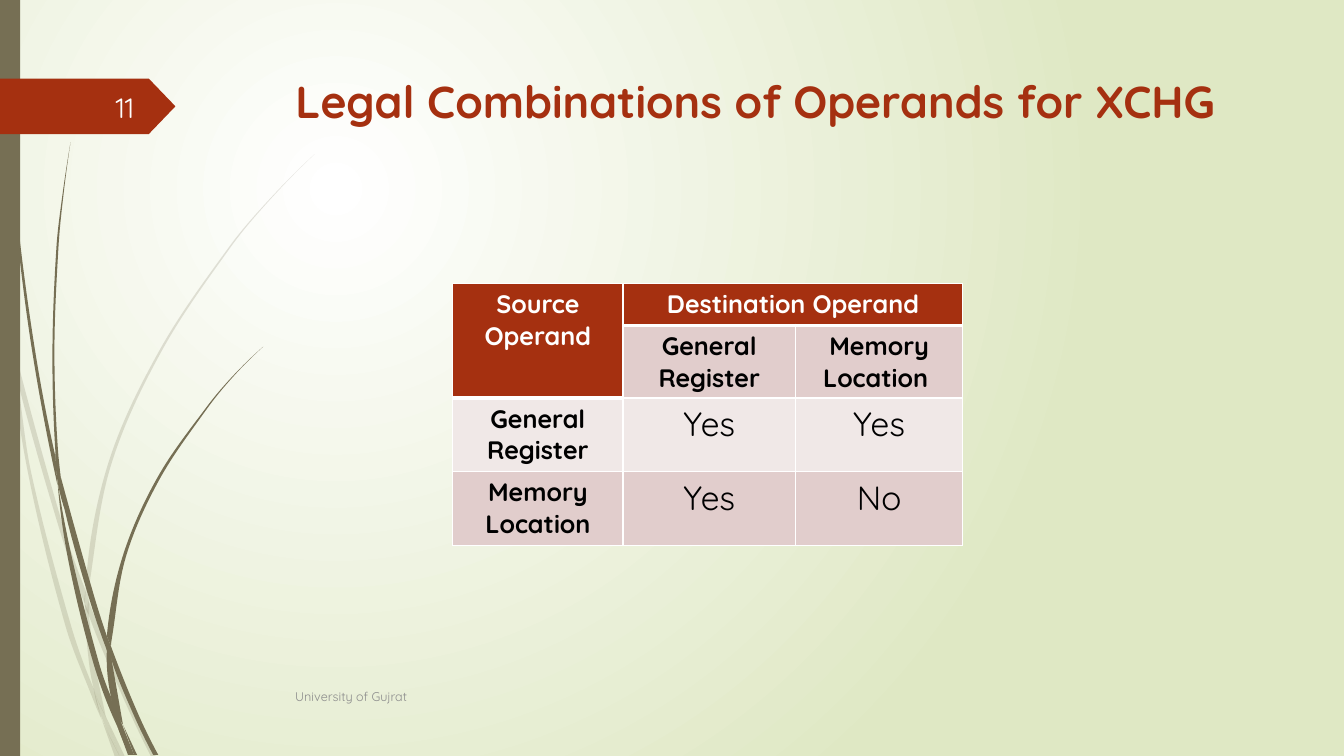
from lxml.etree import SubElement
from pptx import Presentation
from pptx.dml.color import RGBColor
from pptx.enum.shapes import MSO_SHAPE
from pptx.enum.text import MSO_ANCHOR, MSO_AUTO_SIZE, PP_ALIGN
from pptx.oxml.ns import qn
from pptx.util import Inches, Pt

COLORS = {
    "rust": "A53010", "olive": "766F54", "white": "FFFFFF", "meadow": "DFE8C4",
    "rose": "E1CDCC", "blush": "F0E8E7", "black": "000000", "grey": "8C8C8C",
    "number": "FEFFFF",
}
FORMATS = {
    "title": {"size": Pt(32), "bold": True, "color": "rust"},
    "header": {"size": Pt(18), "bold": True, "color": "white"},
    "label": {"size": Pt(18), "bold": True, "color": "black"},
    "answer": {"size": Pt(24), "bold": False, "color": "black"},
    "footer": {"size": Pt(9), "bold": False, "color": "grey"},
    "number": {"size": Pt(20), "bold": False, "color": "number"},
}
# Each blade section has two edges, one down and one back, as x+yj stations.
PALE_SECTIONS = [
    ([.11+3.5j, .09+3.22j, 2.82j], [2.99j, .1+3.44j, .11+3.5j]),
    ([.14+3.45j, .17+3.76j, .58+5.22j, .84+5.99j], [.85+5.86j, .62+5.2j, .14+3.45j]),
    ([.88+5.96j, .88+6.1j, 1.23+6.94j, 1.5+7.51j],
     [1.55+7.51j, 1.27+6.92j, .92+6.07j, .88+5.96j]),
    ([1.05+7.11j, 1.19+7.51j], [1.24+7.51j, 1.05+7.11j]),
    ([.11+3.5j, .28+4.7j, .65+6.21j, .92+6.93j, 1.01+7.14j],
     [.93+6.83j, .7+6.19j, .31+4.69j, .17+3.76j, .11+3.5j]),
    ([.84+5.99j, .87+6.46j, .93+6.83j, 1.05+7.11j], [.91+6.46j, .88+6.1j, .84+5.99j]),
    ([3.12+1.53j, 2.68+1.97j, 2.28+2.44j, 1.58+3.48j, 1.07+4.61j, .85+5.84j],
     [.88+5.96j, .88+5.84j, 1.1+4.62j, 1.6+3.49j, 2.29+2.45j, 2.68+1.98j, 3.12+1.53j]),
    ([1.01+7.14j, 1.14+7.51j], [1.19+7.51j, 1.01+7.14j]),
    ([.85+5.86j, .84+5.99j, .88+6.1j], [.88+5.96j, .85+5.86j]),
    ([.93+6.83j, .99+7.07j, 1.19+7.51j], [1.05+7.11j, .96+6.92j, .93+6.83j]),
]
DARK_SECTIONS = [
    ([.03+0j, .07+1.1j, .17+2.33j, .33+3.55j, .57+4.81j],
     [.55+4.53j, .36+3.55j, .19+2.32j, .08+1.09j, .04+0j]),
    ([.6+4.72j, .64+5.05j, .88+5.92j, 1.06+6.45j], [1.06+6.31j, .93+5.9j, .6+4.72j]),
    ([1.1+6.41j, 1.11+6.56j, 1.32+7.08j, 1.52+7.49j],
     [1.57+7.49j, 1.36+7.06j, 1.1+6.41j]),
    ([.57+4.77j, .68+5.57j, .93+6.59j, 1.17+7.22j],
     [1.1+6.91j, .98+6.57j, .72+5.56j, .57+4.77j]),
    ([.7+1.41j, .62+1.93j, .56+2.45j, .52+3.49j, .55+4.49j, .6+4.72j],
     [.58+4.53j, .54+3.49j, .58+2.45j, .63+1.93j, .7+1.41j]),
    ([1.22+7.19j, 1.33+7.49j], [1.36+7.49j, 1.22+7.19j]),
    ([.55+4.49j, .57+4.77j, .64+5.05j], [.6+4.72j, .55+4.49j]),
    ([2.61+3.44j, 2.31+3.73j, 2.04+4.05j, 1.56+4.74j, 1.22+5.51j, 1.06+6.31j],
     [1.1+6.41j, 1.11+6.33j, 1.25+5.52j, 1.58+4.76j, 2.05+4.06j, 2.31+3.74j, 2.61+3.44j]),
    ([1.17+7.22j, 1.27+7.49j], [1.31+7.49j, 1.17+7.22j]),
    ([1.06+6.45j, 1.1+6.91j, 1.22+7.19j], [1.11+6.56j, 1.06+6.45j]),
    ([1.06+6.31j, 1.06+6.45j, 1.11+6.56j], [1.1+6.41j, 1.06+6.31j]),
    ([1.1+6.91j, 1.17+7.22j, 1.3+7.49j], [1.33+7.49j, 1.16+7.06j, 1.1+6.91j]),
]
OPERANDS = [
    [("Source\nOperand", "header", "rust"), ("Destination Operand", "header", "rust"),
     ("", "header", "rust")],
    [("", "label", "rust"), ("General Register", "label", "rose"),
     ("Memory Location ", "label", "rose")],
    [("General Register", "label", "blush"), ("Yes", "answer", "blush"),
     ("Yes", "answer", "blush")],
    [("Memory Location", "label", "rose"), ("Yes", "answer", "rose"),
     ("No", "answer", "rose")],
]


def rgb(name):
    """Return the named colour."""
    return RGBColor.from_string(COLORS[name])


def write(frame, wording, style, align=PP_ALIGN.LEFT):
    """Fill a text frame with wording in one of the formats."""
    frame.text = wording
    for paragraph in frame.paragraphs:
        paragraph.alignment = align
        for run in paragraph.runs:
            run.font.name = "Quicksand"
            for key, value in FORMATS[style].items():
                if key == "color":
                    run.font.color.rgb = rgb(value)
                else:
                    setattr(run.font, key, value)


def paint(shape, color, opacity=100):
    """Give a shape a flat fill with no line or shadow."""
    shape.shadow.inherit = False
    shape.line.fill.background()
    shape.fill.solid()
    shape.fill.fore_color.rgb = rgb(color)
    if opacity < 100:
        tint = shape.fill._xPr.find(".//" + qn("a:srgbClr"))
        SubElement(tint, qn("a:alpha"), val=str(opacity * 1000))


def bend(edge):
    """Return two controls and an end for each smooth segment of an edge."""
    chords = [(b - a) / abs(b - a) for a, b in zip(edge, edge[1:])]
    slopes = [(c - a) / abs(c - a) for a, c in zip(edge, edge[2:])]
    if slopes:
        first = chords[0] ** 2 * slopes[0].conjugate()
        last = chords[-1] ** 2 * slopes[-1].conjugate()
        slopes = [first, *slopes, last]
    else:
        slopes = chords * 2
    curve = []
    for a, b, start, end in zip(edge, edge[1:], slopes, slopes[1:]):
        reach = abs(b - a) / 3
        curve += [a + start * reach, b - end * reach, b]
    return curve


def add_section(slide, left, top, edges, opacity):
    """Draw one blade section with curved edges."""
    down, back = edges
    stations = bend(down) + bend([down[-1], back[0]]) + bend(back)
    points = [(Inches(left + z.real), Inches(top + z.imag)) for z in [down[0], *stations]]
    builder = slide.shapes.build_freeform(*points[0])
    builder.add_line_segments(points[1:], close=True)
    section = builder.convert_to_shape()
    lines = list(section._element.iter(qn("a:lnTo")))
    for trio in zip(lines[::3], lines[1::3], lines[2::3]):
        outline = trio[0].getparent()
        curve = SubElement(outline, qn("a:cubicBezTo"))
        trio[0].addprevious(curve)
        for line in trio:
            curve.append(line[0])
            outline.remove(line)
    paint(section, "olive", opacity)


def add_background(slide):
    """Spread a circular gradient from the upper left."""
    fill = slide.background.fill
    fill.gradient()
    for stop, color in zip(fill.gradient_stops, ("white", "meadow")):
        stop.color.rgb = rgb(color)
    gradient = slide._element.find(".//" + qn("a:gradFill"))
    gradient.remove(gradient.find(qn("a:lin")))
    circle = SubElement(gradient, qn("a:path"), path="circle")
    SubElement(circle, qn("a:fillToRect"), l="50000", t="50000", r="100000", b="100000")


def add_grass(slide, left, top, height):
    """Draw the grass blades and the bar at the left edge."""
    for sections, opacity in ((PALE_SECTIONS, 20), (DARK_SECTIONS, 100)):
        for edges in sections:
            add_section(slide, left, top, edges, opacity)
    bar = slide.shapes.add_shape(
        MSO_SHAPE.RECTANGLE, *map(Inches, (left, top, 0.2, height)))
    paint(bar, "olive")


def add_caption(slide, left, top, width, height, wording, style, align):
    """Place a vertically centred line of text."""
    caption = slide.shapes.add_textbox(*map(Inches, (left, top, width, height)))
    caption.text_frame.word_wrap = True
    caption.text_frame.vertical_anchor = MSO_ANCHOR.MIDDLE
    write(caption.text_frame, wording, style, align)


def add_number_flag(slide, left, top, width, height):
    """Draw the pointed flag with the slide number."""
    flag = slide.shapes.add_shape(
        MSO_SHAPE.PENTAGON, *map(Inches, (left, top, width, height)))
    flag.adjustments[0] = 0.48
    paint(flag, "rust")
    add_caption(slide, left + 0.58, top + 0.08, 0.85, 0.4, "11", "number", PP_ALIGN.RIGHT)


def add_title(slide, left, top, width, height):
    """Move and fill the title placeholder."""
    title = slide.shapes.title
    place = {"left": left, "top": top, "width": width, "height": height}
    for key, value in place.items():
        setattr(title, key, Inches(value))
    layout = {"word_wrap": True, "auto_size": MSO_AUTO_SIZE.NONE,
              "vertical_anchor": MSO_ANCHOR.TOP}
    for key, value in layout.items():
        setattr(title.text_frame, key, value)
    write(title.text_frame, "Legal Combinations of Operands for XCHG", "title")


def add_borders(cell, bottom):
    """Rule a cell in white with the given bottom weight."""
    properties = cell._tc.get_or_add_tcPr()
    for side, weight in {"L": 1, "R": 1, "T": 1, "B": bottom}.items():
        rule = SubElement(properties, qn("a:ln" + side), w=str(Pt(weight)))
        SubElement(SubElement(rule, qn("a:solidFill")), qn("a:srgbClr"), val=COLORS["white"])


def add_operand_table(slide, left, top, width, height):
    """Tabulate the legal source and destination operands."""
    table = slide.shapes.add_table(4, 3, *map(Inches, (left, top, width, height))).table
    for column, share in zip(table.columns, (1.69, 1.71, 1.66)):
        column.width = Inches(width * share / 5.06)
    for row, share in zip(table.rows, (0.42, 0.72, 0.73, 0.73)):
        row.height = Inches(height * share / 2.6)
    table.cell(0, 0).merge(table.cell(1, 0))
    table.cell(0, 1).merge(table.cell(0, 2))
    for row, entries in enumerate(OPERANDS):
        for column, (wording, style, color) in enumerate(entries):
            cell = table.cell(row, column)
            add_borders(cell, 3 if style == "header" else 1)
            cell.fill.solid()
            cell.fill.fore_color.rgb = rgb(color)
            if wording:
                write(cell.text_frame, wording, style, PP_ALIGN.CENTER)


def build():
    """Assemble and save the slide."""
    deck = Presentation()
    deck.slide_width, deck.slide_height = Inches(13.33), Inches(7.5)
    slide = deck.slides.add_slide(deck.slide_layouts[5])
    add_background(slide)
    add_grass(slide, 0, 0, 7.5)
    add_number_flag(slide, 0, 0.78, 1.74, 0.55)
    add_title(slide, 2.83, 0.68, 9.75, 1.4)
    add_operand_table(slide, 4.49, 2.81, 5.06, 2.6)
    add_caption(slide, 2.83, 6.71, 8.33, 0.4, "University of Gujrat", "footer", PP_ALIGN.LEFT)
    deck.save("out.pptx")


build()
